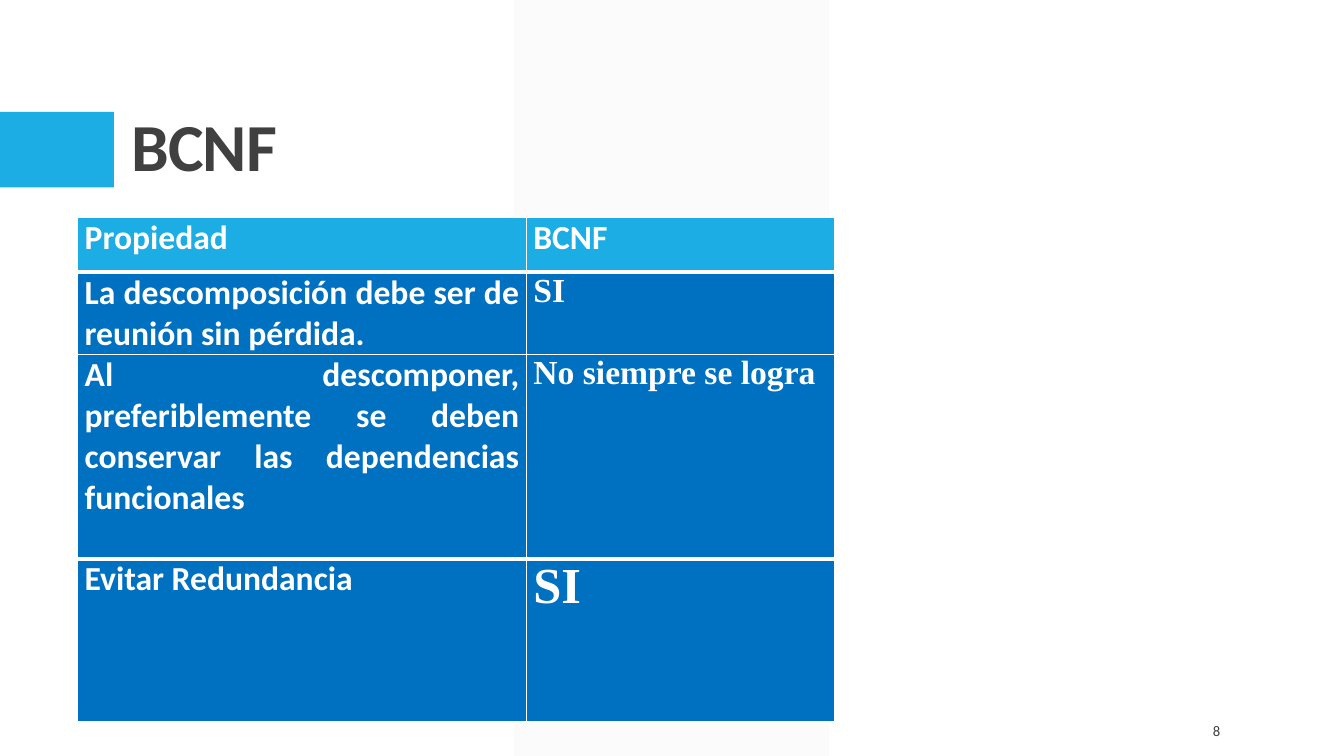
from lxml.etree import SubElement
from pptx import Presentation
from pptx.dml.color import RGBColor
from pptx.enum.shapes import MSO_SHAPE
from pptx.enum.text import MSO_ANCHOR, PP_ALIGN
from pptx.oxml.ns import qn
from pptx.util import Inches, Pt

COLORS = {"band": "F2F2F2", "accent": "1CADE4", "body": "0070C0",
          "text": "404040", "white": "FFFFFF"}
SANS, SERIF = "Calibri", "Times New Roman"

TITLE = "BCNF"
PAGE_NUMBER = "8"
# Each cell: text, font, size
ROWS = [
    [("Propiedad", SANS, 24), ("BCNF", SANS, 24)],
    [("La descomposición debe ser de reunión sin pérdida.", SANS, 24),
     ("SI", SERIF, 24)],
    [("Al descomponer, preferiblemente se deben conservar las dependencias "
      "funcionales", SANS, 24), ("No siempre se logra", SERIF, 24)],
    [("Evitar Redundancia", SANS, 24), ("SI", SERIF, 36)],
]
COLUMN_WIDTHS = [4.45, 3.06]
ROW_HEIGHTS = [0.54, 0.81, 2.03, 1.62]
RULE_WIDTHS = [1, 3, 1, 3, 1]  # horizontal rules, top to bottom

BAND = (5.1, 0, 3.12, 7.5)
ACCENT = (0, 1.11, 1.13, 0.75)
TITLE_BOX = (1.2, 0.31, 11, 1.59)
TABLE_BOX = (0.77, 2.16, sum(COLUMN_WIDTHS), sum(ROW_HEIGHTS))
NUMBER_BOX = (11.35, 7.05, 0.85, 0.4)


def inches(box):
    return [Inches(length) for length in box]


def color(name):
    return RGBColor.from_string(COLORS[name])


def write(frame, text, align, ink, **font_format):
    frame.word_wrap = True
    para = frame.paragraphs[0]
    para.alignment = align
    span = para.add_run()
    span.text = text
    span.font.color.rgb = color(ink)
    for name, value in font_format.items():
        setattr(span.font, name, value)
    return para, span


def add_block(slide, box, fill):
    """Add a plain rectangle behind the title."""
    block = slide.shapes.add_shape(MSO_SHAPE.RECTANGLE, *inches(box))
    block.shadow.inherit = False
    block.fill.solid()
    block.fill.fore_color.rgb = color(fill)
    block.line.fill.background()
    slide.shapes.title.element.addprevious(block.element)
    return block


def set_borders(cell, top, bottom):
    properties = cell._tc.get_or_add_tcPr()
    widths = {"a:lnL": 1, "a:lnR": 1, "a:lnT": top, "a:lnB": bottom}
    for position, (tag, width) in enumerate(widths.items()):
        line = SubElement(properties, qn(tag), w=str(Pt(width)))
        fill = SubElement(line, qn("a:solidFill"))
        SubElement(fill, qn("a:srgbClr"), val=COLORS["white"])
        properties.insert(position, line)


def add_title(slide):
    title = slide.shapes.title
    title.left, title.top, title.width, title.height = inches(TITLE_BOX)
    title.text_frame.vertical_anchor = MSO_ANCHOR.BOTTOM
    para, span = write(title.text_frame, TITLE, PP_ALIGN.LEFT, "text",
                       name=SANS, size=Pt(48), bold=True)
    para.line_spacing = 0.9
    span.font._element.set("spc", "-50")


def add_property_table(slide):
    table = slide.shapes.add_table(len(ROWS), len(COLUMN_WIDTHS),
                                   *inches(TABLE_BOX)).table
    for column, width in zip(table.columns, COLUMN_WIDTHS):
        column.width = Inches(width)
    for r, (entries, height) in enumerate(zip(ROWS, ROW_HEIGHTS)):
        table.rows[r].height = Inches(height)
        for c, (text, font, size) in enumerate(entries):
            cell = table.cell(r, c)
            cell.margin_left = cell.margin_right = Inches(0.07)
            cell.margin_top = cell.margin_bottom = 0
            cell.fill.solid()
            cell.fill.fore_color.rgb = color("body" if r else "accent")
            write(cell.text_frame, text, PP_ALIGN.JUSTIFY, "white",
                  name=font, size=Pt(size), bold=True)
            set_borders(cell, RULE_WIDTHS[r], RULE_WIDTHS[r + 1])


def main():
    deck = Presentation()
    deck.slide_width, deck.slide_height = Inches(13.33), Inches(7.5)
    slide = deck.slides.add_slide(deck.slide_layouts[5])

    band = add_block(slide, BAND, "band")
    band_color = band.element.spPr.find(qn("a:solidFill")).find(qn("a:srgbClr"))
    SubElement(band_color, qn("a:alpha"), val="30000")
    add_block(slide, ACCENT, "accent")
    add_title(slide)
    add_property_table(slide)

    number = slide.shapes.add_textbox(*inches(NUMBER_BOX)).text_frame
    number.vertical_anchor = MSO_ANCHOR.MIDDLE
    write(number, PAGE_NUMBER, PP_ALIGN.RIGHT, "text", name=SANS, size=Pt(10.5))
    deck.save("out.pptx")


if __name__ == "__main__":
    main()
